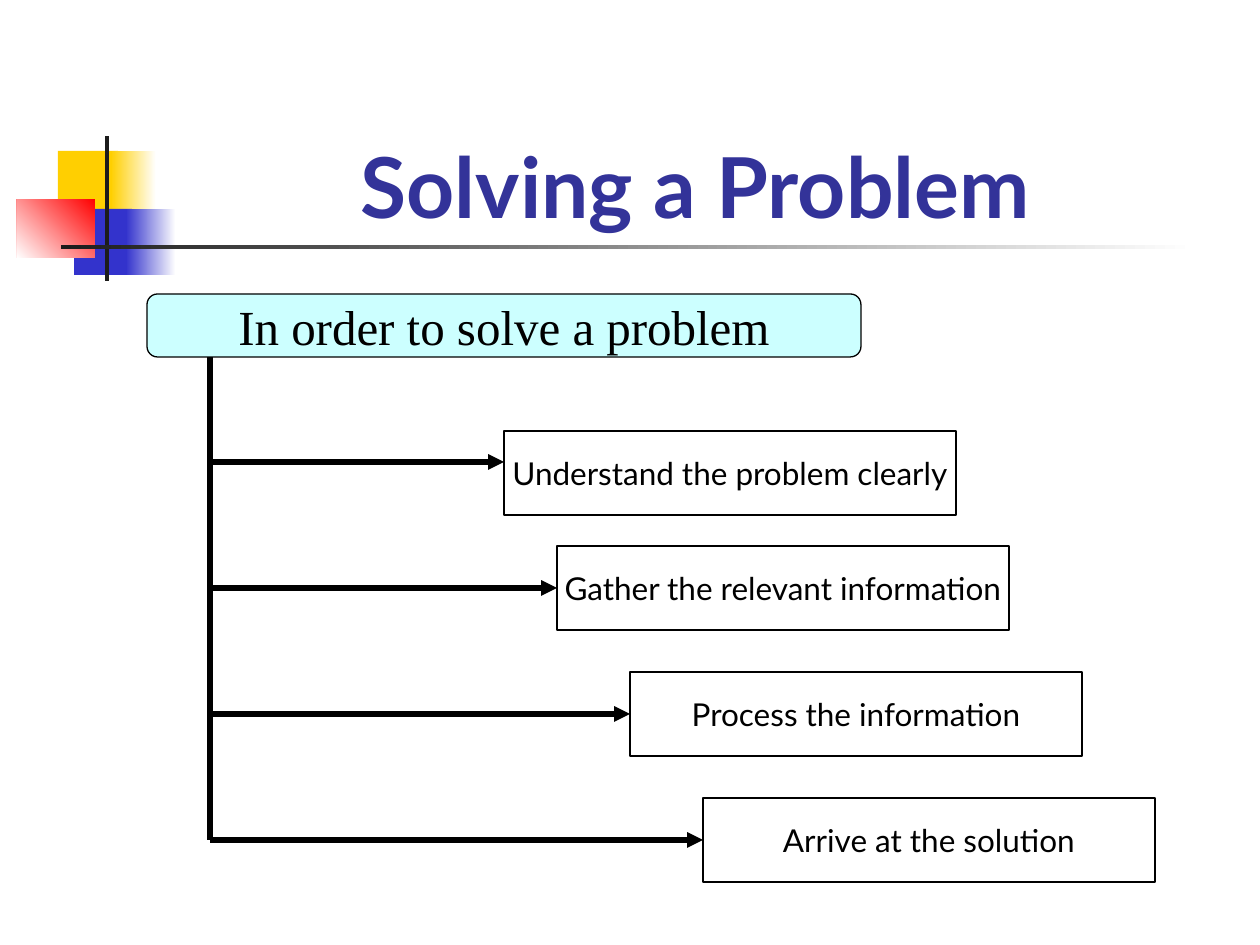
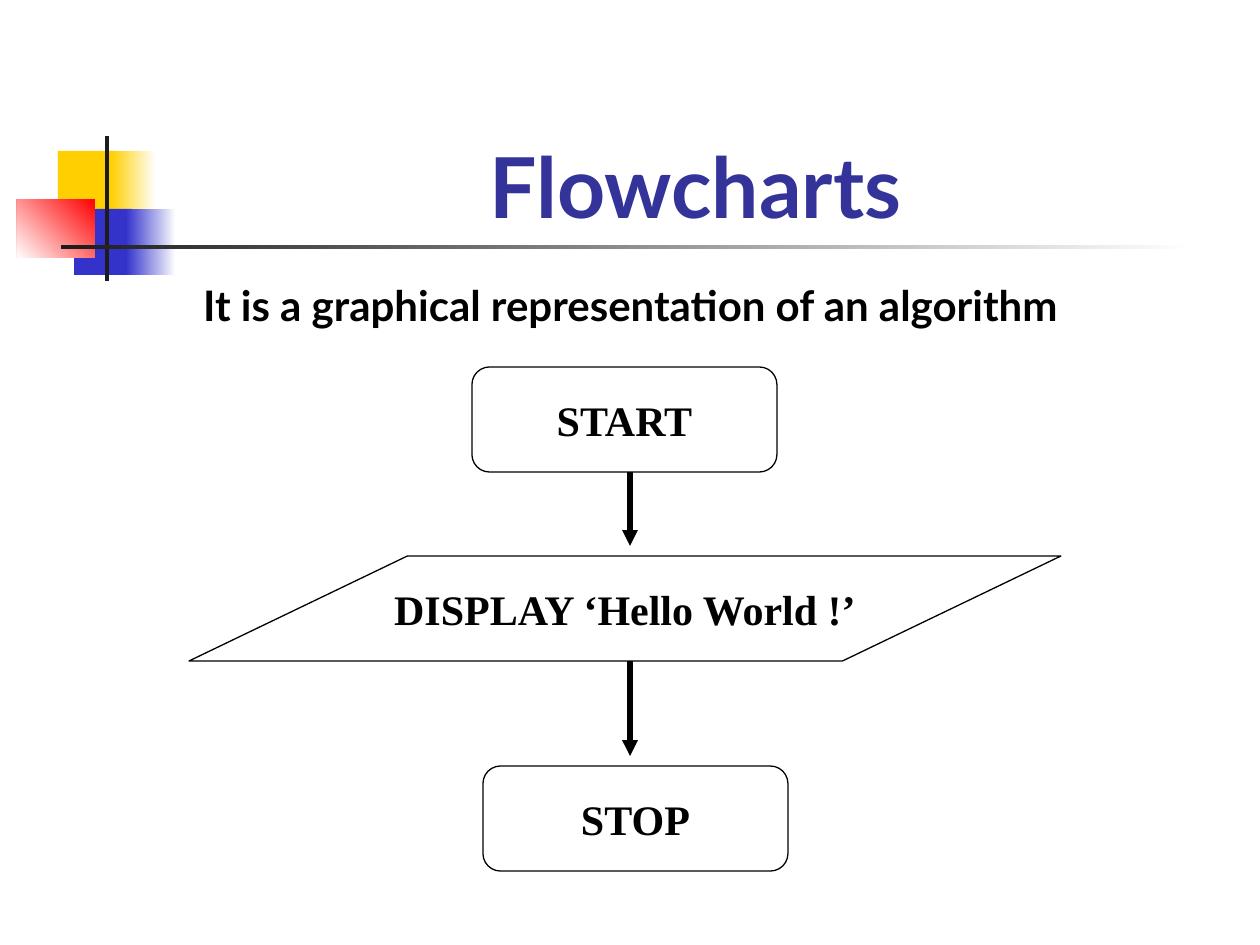
import pptx
import pptx.util
import pptx.dml.color
import pptx.enum.shapes
import pptx.enum.text
import pptx.oxml
import pptx.oxml.ns

RGB = pptx.dml.color.RGBColor
KIND = pptx.enum.shapes.MSO_SHAPE
ANCHOR = pptx.enum.text.MSO_ANCHOR

BLACK = RGB(0x00, 0x00, 0x00)
WHITE = RGB(0xFF, 0xFF, 0xFF)
NAVY = RGB(0x33, 0x33, 0x99)
BLUE = RGB(0x33, 0x33, 0xCC)
YELLOW = RGB(0xFF, 0xCF, 0x01)
RED = RGB(0xFF, 0x00, 0x00)
DARK = RGB(0x1C, 0x1C, 0x1C)
CYAN = RGB(0xCC, 0xFF, 0xFF)

SANS = "Lato"
SERIF = "Times New Roman"
ROUND = 0.167


def px(num):
    """Turn pixels (126 to the inch) into EMU."""
    return pptx.util.Emu(round(num * 914400 / 126))


def write(frame, text, font, size, color=BLACK, bold=False):
    para = frame.paragraphs[0]
    para.text = text
    para.alignment = pptx.enum.text.PP_ALIGN.CENTER
    para.font.name = font
    para.font.size = pptx.util.Pt(size)
    para.font.bold = bold
    para.font.color.rgb = color


def add_label(slide, area, text, size, color=BLACK, anchor=ANCHOR.TOP):
    frame = slide.shapes.add_textbox(*map(px, area)).text_frame
    frame.word_wrap = True
    frame.vertical_anchor = anchor
    write(frame, text, SANS, size, color, True)


def add_patch(slide, area, color, fade=None, angle=180):
    """Add a borderless rectangle, plain or fading from color to fade."""
    patch = slide.shapes.add_shape(KIND.RECTANGLE, *map(px, area))
    patch.shadow.inherit = False
    patch.line.fill.background()
    if fade is None:
        patch.fill.solid()
        patch.fill.fore_color.rgb = color
        return
    patch.fill.gradient()
    patch.fill.gradient_angle = angle
    for stop, shade in zip(patch.fill.gradient_stops, (color, fade)):
        stop.color.rgb = shade


def add_box(slide, kind, area, text, font, size, fill=WHITE, bold=False,
            adjust=None):
    box = slide.shapes.add_shape(kind, *map(px, area))
    box.shadow.inherit = False
    box.fill.solid()
    box.fill.fore_color.rgb = fill
    box.line.color.rgb = BLACK
    box.line.width = pptx.util.Pt(0.75)
    if adjust is not None:
        box.adjustments[0] = adjust
    box.text_frame.word_wrap = False
    box.text_frame.vertical_anchor = ANCHOR.MIDDLE
    write(box.text_frame, text, font, size, bold=bold)


def add_line(slide, start, end, arrow=True):
    line = slide.shapes.add_connector(
        pptx.enum.shapes.MSO_CONNECTOR.STRAIGHT, *map(px, start + end))
    line.line.color.rgb = BLACK
    line.line.width = pptx.util.Pt(3)
    if arrow:
        tip = pptx.oxml.parse_xml(
            f'<a:tailEnd {pptx.oxml.ns.nsdecls("a")} type="triangle"/>')
        line.line._get_or_add_ln().append(tip)
    line._element.spPr.append(pptx.oxml.parse_xml(
        f'<a:effectLst {pptx.oxml.ns.nsdecls("a")}/>'))


def add_page(deck, title):
    """Add a slide with the shared corner squares, rule and title."""
    slide = deck.slides.add_slide(deck.slide_layouts[6])
    # Corner squares
    add_patch(slide, (58, 151, 60, 66), YELLOW)
    add_patch(slide, (111, 151, 45, 66), WHITE, YELLOW)
    add_patch(slide, (74, 209, 58, 66), BLUE)
    add_patch(slide, (126, 209, 50, 66), WHITE, BLUE)
    add_patch(slide, (17, 199, 78, 59), RED, WHITE, 225)
    # Crossing rules
    add_patch(slide, (105, 136, 4, 145), DARK)
    add_patch(slide, (61, 245, 1134, 4), WHITE, DARK)
    # Title
    add_label(slide, (159, 84, 1073, 158), title, 48, NAVY, ANCHOR.BOTTOM)
    return slide


def add_solving(deck):
    slide = add_page(deck, "Solving a Problem")
    add_box(slide, KIND.ROUNDED_RECTANGLE, (147, 294, 714, 63),
            "In order to solve a problem", SERIF, 28, CYAN, adjust=ROUND)
    # Steps branching off the trunk
    steps = [
        (504, 431, "Understand the problem clearly"),
        (557, 546, "Gather the relevant information"),
        (630, 672, "Process the information"),
        (703, 798, "Arrive at the solution"),
    ]
    trunk = 210
    for row, (left, top, text) in enumerate(steps):
        level = 462 + 126 * row
        add_line(slide, (trunk, level), (left, level))
        add_box(slide, KIND.RECTANGLE, (left, top, 452, 84), text, SANS, 18)
    add_line(slide, (trunk, 357), (trunk, level), arrow=False)


def add_flow(deck):
    slide = add_page(deck, "Flowcharts")
    add_label(slide, (95, 273, 1071, 63),
              "It is a graphical representation of an algorithm", 24)
    # Flowchart nodes
    nodes = [
        (KIND.ROUNDED_RECTANGLE, 472, 367, 305, "START", ROUND),
        (KIND.PARALLELOGRAM, 189, 556, 872, "DISPLAY ‘Hello World !’", 2.08),
        (KIND.ROUNDED_RECTANGLE, 483, 766, 305, "STOP", ROUND),
    ]
    for kind, left, top, width, text, adjust in nodes:
        add_box(slide, kind, (left, top, width, 105), text, SERIF, 24,
                bold=True, adjust=adjust)
    # Arrows between nodes
    for start, end in ((472, 546), (661, 756)):
        add_line(slide, (630, start), (630, end))


def main():
    deck = pptx.Presentation()
    deck.slide_width, deck.slide_height = px(1260), px(945)
    add_solving(deck)
    add_flow(deck)
    deck.save("out.pptx")


if __name__ == "__main__":
    main()
